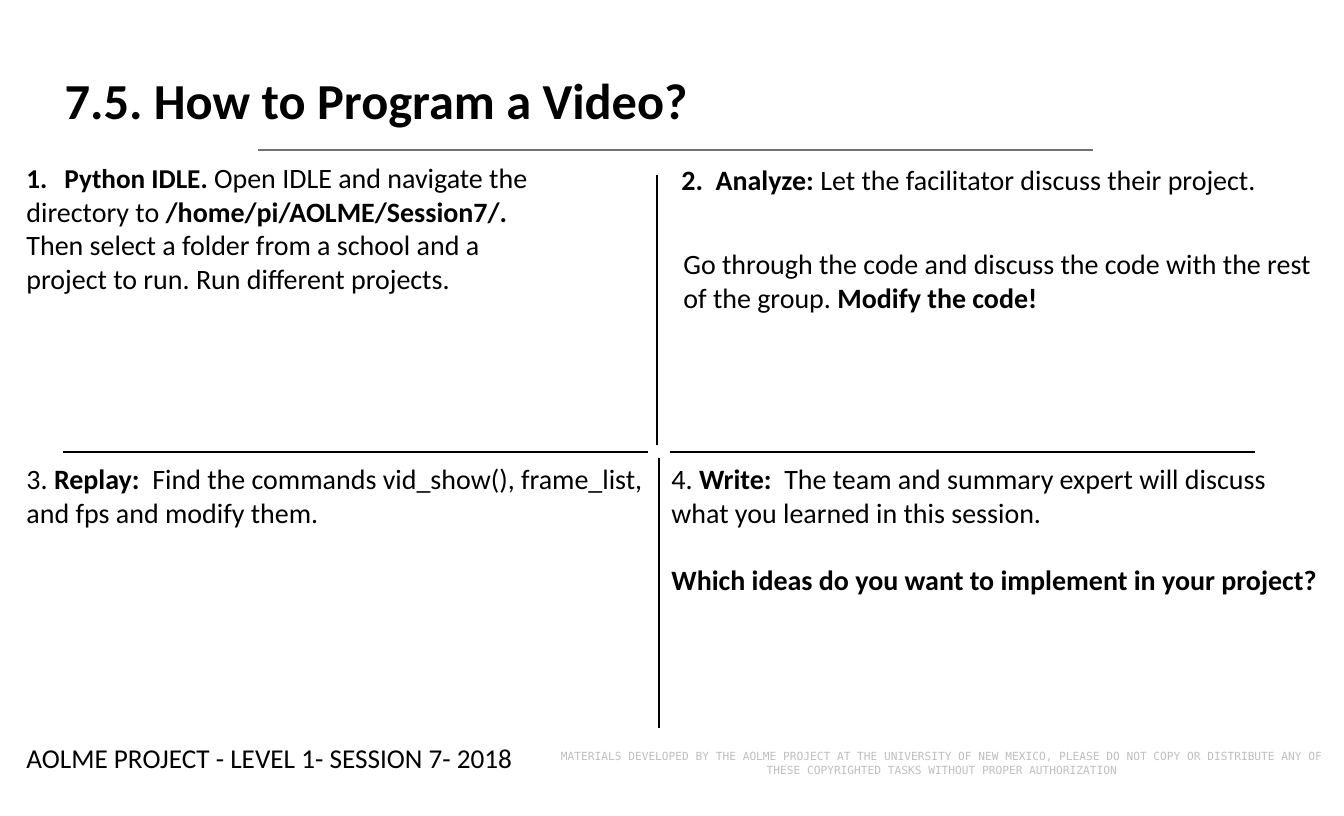
from lxml import etree
from pptx import Presentation
from pptx import util as u
from pptx.dml.color import RGBColor
from pptx.enum import shapes, text
from pptx.oxml.ns import qn

PX = 9525  # EMU per pixel
BLACK = RGBColor(0x00, 0x00, 0x00)
GREY = RGBColor(0x76, 0x71, 0x71)
PALE = RGBColor(0xBF, 0xBF, 0xBF)
SANS, MONO = "Calibri", "DejaVu Sans Mono"
SIZE = 21


def px(*lengths):
    return [u.Emu(length * PX) for length in lengths]


def write(box, paras, size=SIZE, font=SANS, color=BLACK, align=text.PP_ALIGN.LEFT,
          anchor=text.MSO_ANCHOR.TOP, wrap=True, indent=0, numbered=False, gap=0):
    """Fill a box; each paragraph is a list of (words, bold[, size]) spans."""
    frame = box.text_frame
    frame.word_wrap = wrap
    frame.auto_size = text.MSO_AUTO_SIZE.SHAPE_TO_FIT_TEXT
    frame.vertical_anchor = anchor
    for index, spans in enumerate(paras):
        para = frame.paragraphs[0] if index == 0 else frame.add_paragraph()
        para.alignment = align
        para.space_before = u.Pt(gap if index else 0)
        props = para._p.get_or_add_pPr()
        if indent:
            props.set("marL", str(indent * PX))
        if numbered and index == 0:
            props.set("indent", str(-indent * PX))
            etree.SubElement(props, qn("a:buFont"), typeface="+mj-lt")
            etree.SubElement(props, qn("a:buAutoNum"), type="arabicPeriod")
        elif numbered:
            props.set("marL", "0")
        for words, bold, *own_size in spans:
            span = para.add_run()
            span.text = words
            span.font.name = font
            span.font.size = u.Pt(own_size[0] if own_size else size)
            span.font.bold = bold
            span.font.color.rgb = color


def add_text(page, area, paras, **look):
    box = page.shapes.add_textbox(*px(*area))
    write(box, paras, **look)


def add_line(parent, ends, color=BLACK, width=2.25):
    line = parent.add_connector(shapes.MSO_CONNECTOR.STRAIGHT, *px(*ends))
    line.line.color.rgb = color
    line.line.width = u.Pt(width)
    etree.SubElement(line._element.spPr, qn("a:effectLst"))


def add_heading(page, left, top, width, height):
    title = page.shapes.title
    title.left, title.top, title.width, title.height = px(left, top, width, height)
    write(title, [[("7.5. How to Program a Video?", True)]], size=37.8)
    add_line(page.shapes, (left + 203, top + 86, left + 1038, top + 86), GREY, 1)


def add_cross(page, left, top, width, height):
    """Four separate arms that divide the page into quarters."""
    cross = page.shapes.add_group_shape().shapes
    arm, drop, middle = 585, 270, top + 277
    right, bottom = left + width, top + height
    add_line(cross, (left, middle, left + arm, middle))
    add_line(cross, (right - arm, middle, right, middle))
    add_line(cross, (left + 594, top + drop, left + 594, top))
    add_line(cross, (left + 596, bottom, left + 596, bottom - drop))


def add_quarters(page, left, top, width, height):
    half = top + 301
    column = left + 645
    # 1: run the projects
    add_text(page, (left, top, 675, 145), [
        [("Python IDLE. ", True, 20.4), ("Open IDLE and navigate the", False)],
        [("directory to ", False), ("/home/pi/AOLME/Session7/.", True)],
        [("Then select a folder from a school and a", False)],
        [("project to run. Run different projects.", False)],
    ], indent=38, numbered=True)
    # 2: discuss the code
    add_text(page, (column + 8, top + 2, 621, 43), [
        [("2.  Analyze: ", True), ("Let the facilitator discuss their project.", False)],
    ], indent=2)
    add_text(page, (column + 10, top + 86, 655, 78), [
        [("Go through the code and discuss the code with the rest of the group. ", False),
         ("Modify the code!", True)],
    ], indent=2)
    # 3: change the commands
    add_text(page, (left, half, 640, 78), [
        [("3. ", False), ("Replay:  ", True),
         ("Find the commands vid_show(), frame_list, and fps and modify them.", False)],
    ])
    # 4: sum up
    add_text(page, (column, half, left + width - column, height - 301), [
        [("4. ", False), ("Write:  ", True),
         ("The team and summary expert will discuss what you learned in this session.", False)],
        [("Which ideas do you want to implement in your project?", True)],
    ], gap=25)


def add_footer(page, left, top, width, height):
    add_text(page, (left, top, 518, height),
             [[("AOLME PROJECT - LEVEL 1- SESSION 7- 2018", False)]], size=20.4, wrap=False)
    add_text(page, (left + 526, top + 7, width - 526, 38), [[(
        "MATERIALS DEVELOPED BY THE AOLME PROJECT AT THE UNIVERSITY OF NEW MEXICO, "
        "PLEASE DO NOT COPY OR DISTRIBUTE ANY OF THESE COPYRIGHTED TASKS "
        "WITHOUT PROPER AUTHORIZATION", False)]],
        size=8.4, font=MONO, color=PALE, align=text.PP_ALIGN.CENTER,
        anchor=text.MSO_ANCHOR.MIDDLE)


def main():
    deck = Presentation()
    deck.slide_width, deck.slide_height = px(1344, 816)
    page = deck.slides.add_slide(deck.slide_layouts.get_by_name("Title Only"))
    add_cross(page, 63, 175, 1192, 553)
    add_heading(page, 55, 64, 1197, 71)
    add_quarters(page, 17, 156, 1314, 480)
    add_footer(page, 17, 737, 1324, 42)
    deck.save("out.pptx")


if __name__ == "__main__":
    main()
